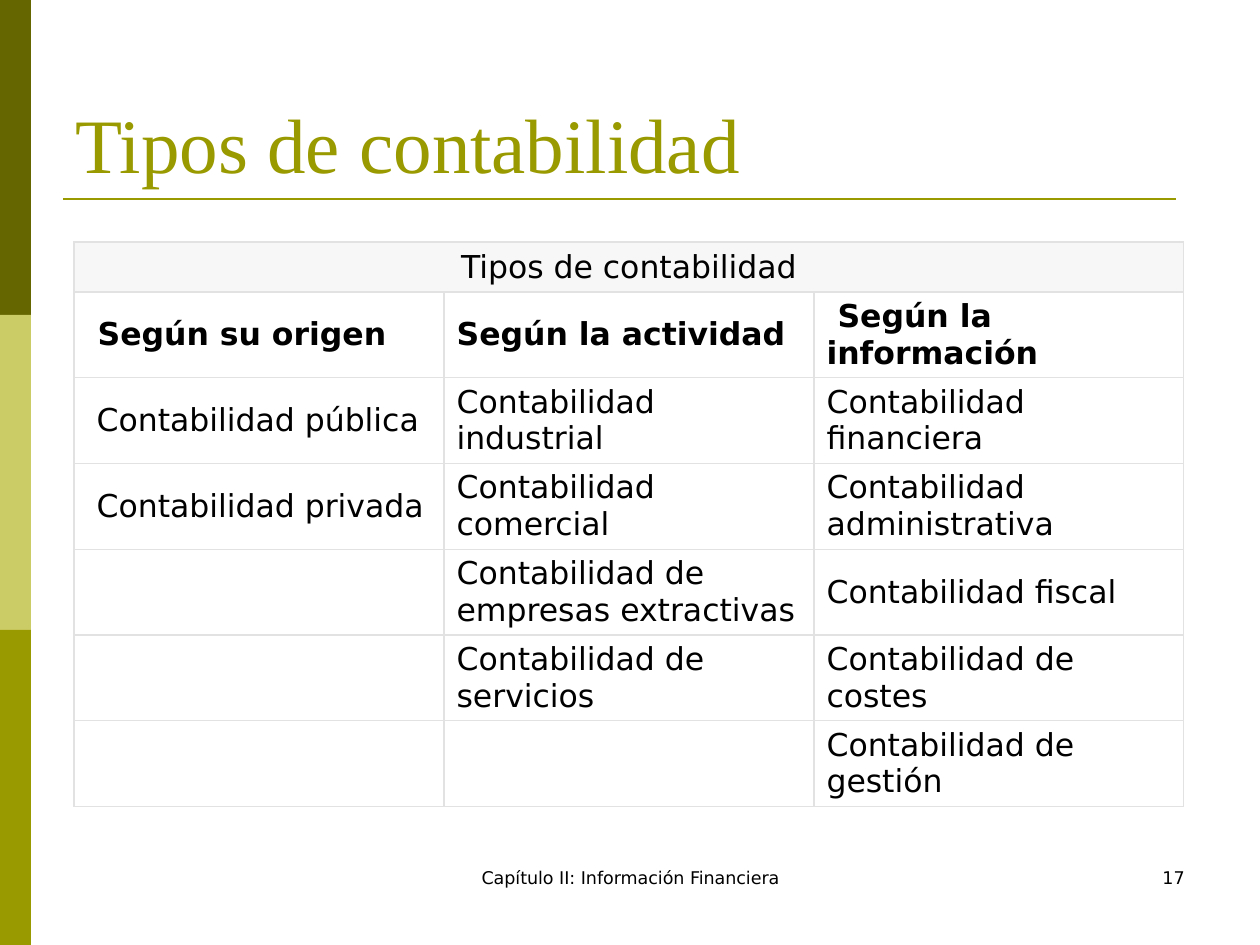
from dataclasses import dataclass

from lxml.etree import SubElement
from pptx import Presentation
from pptx.dml.color import RGBColor
from pptx.enum.shapes import MSO_CONNECTOR, MSO_SHAPE
from pptx.enum.text import MSO_ANCHOR as ANCHOR, MSO_AUTO_SIZE, PP_ALIGN as ALIGN
from pptx.oxml.ns import qn
from pptx.util import Emu, Pt

PX_PER_INCH = 126
SLIDE_W, SLIDE_H = 1260, 945
COLORS = {
    "dark": "666600", "light": "CCCC66", "olive": "999900",
    "text": "000000", "header": "F7F7F7", "cell": "FFFFFF", "border": "E2E2E2",
}
SANS, SERIF = "DejaVu Sans", "Times New Roman"
TITLE = "Tipos de contabilidad"
HEADINGS = [" Según su origen", "Según la actividad ", " Según la información"]
ROWS = [
    [" Contabilidad pública", "Contabilidad industrial", "Contabilidad financiera"],
    [" Contabilidad privada", "Contabilidad comercial", "Contabilidad administrativa"],
    ["", "Contabilidad de empresas extractivas", "Contabilidad fiscal"],
    ["", "Contabilidad de servicios", "Contabilidad de costes"],
    ["", "", "Contabilidad de gestión"],
]


@dataclass(frozen=True)
class Box:
    x: int
    y: int
    w: int
    h: int

    def emu(self) -> tuple:
        return px(self.x), px(self.y), px(self.w), px(self.h)


@dataclass(frozen=True)
class Footer:
    text: str
    box: Box
    align: ALIGN


FOOTERS = [
    Footer("Capítulo II: Información Financiera", Box(431, 861, 399, 63), ALIGN.CENTER),
    Footer("17", Box(903, 861, 294, 63), ALIGN.RIGHT),
]


def px(n: int) -> Emu:
    return Emu(round(n * 914400 / PX_PER_INCH))


def rgb(name: str) -> RGBColor:
    return RGBColor.from_string(COLORS[name])


def write(tf, text: str, *, size=18, font=SANS, color="text", bold=False, align=ALIGN.LEFT) -> None:
    tf.word_wrap = True
    p = tf.paragraphs[0]
    p.alignment = align
    r = p.add_run()
    r.text = text
    r.font.size, r.font.name, r.font.bold = Pt(size), font, bold
    r.font.color.rgb = rgb(color)


def add_bar(s, box: Box, color: str) -> None:
    sp = s.shapes.add_shape(MSO_SHAPE.RECTANGLE, *box.emu())
    sp.shadow.inherit = False
    sp.fill.solid()
    sp.fill.fore_color.rgb = rgb(color)
    sp.line.fill.background()


def add_rule(s, x1: int, x2: int, y: int) -> None:
    line = s.shapes.add_connector(MSO_CONNECTOR.STRAIGHT, px(x1), px(y), px(x2), px(y))
    line.line.color.rgb = rgb("olive")
    line.line.width = Pt(1.5)
    SubElement(line._element.spPr, qn("a:effectLst"))


def style_cell(cell, fill: str, anchor: ANCHOR) -> None:
    """Set borders, fill and anchor; the borders must come before the fill."""
    tc_pr = cell._tc.get_or_add_tcPr()
    for side in ("lnL", "lnR", "lnT", "lnB"):
        ln = SubElement(tc_pr, qn(f"a:{side}"), w=str(Pt(0.75)))
        SubElement(SubElement(ln, qn("a:solidFill")), qn("a:srgbClr"), val=COLORS["border"])
    cell.fill.solid()
    cell.fill.fore_color.rgb = rgb(fill)
    cell.vertical_anchor = anchor


def add_types_table(s, x: int, y: int, col_w: int, header_h: int, row_h: int) -> None:
    rows = [HEADINGS, *ROWS]
    n_cols = len(HEADINGS)
    box = Box(x, y, col_w * n_cols, header_h + row_h * len(rows))
    table = s.shapes.add_table(len(rows) + 1, n_cols, *box.emu()).table
    table.first_row = table.horz_banding = False
    for col in table.columns:
        col.width = px(col_w)
    for i, row in enumerate(table.rows):
        row.height = px(row_h if i else header_h)
        for cell in row.cells:
            style_cell(cell, "cell" if i else "header", ANCHOR.MIDDLE if i else ANCHOR.BOTTOM)

    table.cell(0, 0).merge(table.cell(0, n_cols - 1))
    write(table.cell(0, 0).text_frame, TITLE, align=ALIGN.CENTER)
    for i, texts in enumerate(rows, 1):
        for j, text in enumerate(texts):
            if text:
                write(table.cell(i, j).text_frame, text, bold=texts is HEADINGS)


def add_title(s, box: Box) -> None:
    sp = s.shapes.title
    sp.left, sp.top, sp.width, sp.height = box.emu()
    tf = sp.text_frame
    tf.auto_size = MSO_AUTO_SIZE.NONE
    tf.vertical_anchor = ANCHOR.BOTTOM
    write(tf, TITLE, size=44, font=SERIF, color="olive")


def main() -> None:
    prs = Presentation()
    prs.slide_width, prs.slide_height = px(SLIDE_W), px(SLIDE_H)
    s = prs.slides.add_slide(prs.slide_layouts[5])

    bar_h = SLIDE_H // 3
    for i, color in enumerate(("dark", "light", "olive")):
        add_bar(s, Box(0, i * bar_h, 31, bar_h), color)
    add_rule(s, 63, 1176, 199)
    add_title(s, Box(63, 38, 1134, 157))
    add_types_table(s, x=74, y=242, col_w=370, header_h=50, row_h=85)
    for footer in FOOTERS:
        tb = s.shapes.add_textbox(*footer.box.emu())
        write(tb.text_frame, footer.text, size=10, align=footer.align)

    prs.save("out.pptx")


if __name__ == "__main__":
    main()
